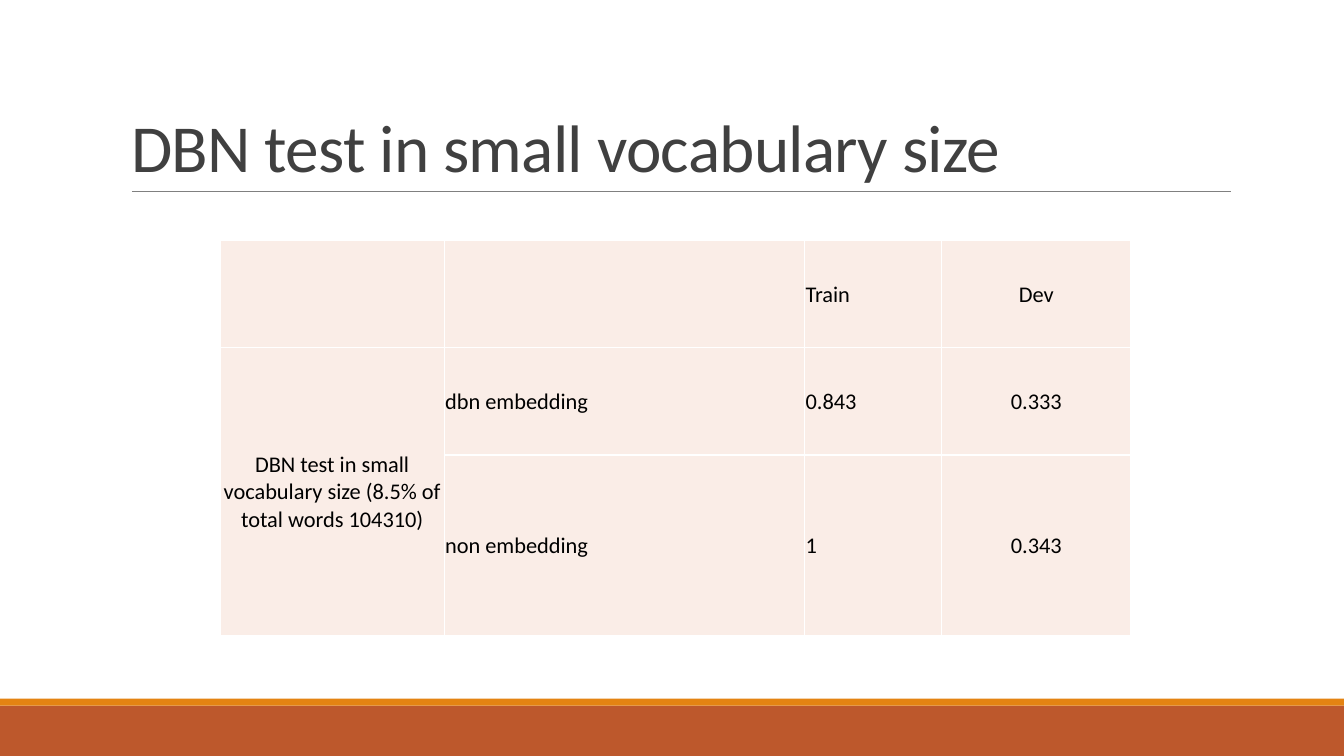
import pptx
import pptx.dml.color
import pptx.enum.shapes
import pptx.enum.text
import pptx.oxml
import pptx.oxml.ns
import pptx.util

Pt = pptx.util.Pt
RGBColor = pptx.dml.color.RGBColor
PP_ALIGN = pptx.enum.text.PP_ALIGN
ANCHOR = pptx.enum.text.MSO_ANCHOR

RUST = RGBColor(0xBD, 0x58, 0x2C)
ORANGE = RGBColor(0xE4, 0x83, 0x12)
GRAY = RGBColor(0x80, 0x80, 0x80)
TITLE_GRAY = RGBColor(0x40, 0x40, 0x40)
CELL_PINK = RGBColor(0xFA, 0xED, 0xE7)
WHITE = RGBColor(0xFF, 0xFF, 0xFF)
BLACK = RGBColor(0, 0, 0)
FONT = "Calibri"


def add_borders(cell, color, width):
    """Draw all four borders; call before setting the cell's fill."""
    tcPr = cell._tc.get_or_add_tcPr()
    for side in ("lnL", "lnR", "lnT", "lnB"):
        tcPr.append(pptx.oxml.parse_xml(
            f'<a:{side} {pptx.oxml.ns.nsdecls("a")} w="{width}"><a:solidFill>'
            f'<a:srgbClr val="{color}"/></a:solidFill></a:{side}>'))


prs = pptx.Presentation()
prs.slide_width, prs.slide_height = Pt(960), Pt(540)
s = prs.slides.add_slide(prs.slide_layouts[5])

# Footer bands
for top, height, color in ((504, 36, RUST), (499, 5, ORANGE)):
    band = s.shapes.add_shape(pptx.enum.shapes.MSO_SHAPE.RECTANGLE,
                              0, Pt(top), Pt(960), Pt(height))
    band.shadow.inherit = False
    band.fill.solid()
    band.fill.fore_color.rgb = color
    band.line.fill.background()

# Title and its rule
rule = s.shapes.add_connector(pptx.enum.shapes.MSO_CONNECTOR.STRAIGHT,
                              Pt(94.3), Pt(136.8), Pt(879), Pt(136.8))
rule.line.color.rgb = GRAY
rule.line.width = Pt(0.5)
rule._element.spPr.append(pptx.oxml.parse_xml(
    f'<a:effectLst {pptx.oxml.ns.nsdecls("a")}/>'))

title = s.shapes.title
title.left, title.top, title.width, title.height = Pt(86.4), Pt(22.5), Pt(792), Pt(114.2)
tf = title.text_frame
tf.text = "DBN test in small vocabulary size"
tf.word_wrap = True
tf.auto_size = pptx.enum.text.MSO_AUTO_SIZE.NONE
tf.vertical_anchor = ANCHOR.BOTTOM
p = tf.paragraphs[0]
p.alignment = PP_ALIGN.LEFT
p.line_spacing = 0.85
r = p.runs[0]
r.font.name = FONT
r.font.size = Pt(48)
r.font.color.rgb = TITLE_GRAY
r._r.get_or_add_rPr().set("spc", "-50")

# Results table
ROWS = (
    ("", "", "Train", "Dev"),
    ("DBN test in small vocabulary size (8.5% of total words 104310)",
     "dbn embedding", "0.843", "0.333"),
    ("", "non embedding", "1", "0.343"),
)
COLUMN_WIDTHS = (160, 257.5, 98, 135)
ROW_HEIGHTS = (76.5, 76.5, 129)
ALIGNMENTS = (PP_ALIGN.CENTER, PP_ALIGN.LEFT, PP_ALIGN.LEFT, PP_ALIGN.CENTER)

table = s.shapes.add_table(len(ROWS), len(COLUMN_WIDTHS), Pt(157.3), Pt(172),
                           Pt(sum(COLUMN_WIDTHS)), Pt(sum(ROW_HEIGHTS))).table
table.first_row = False
table.horz_banding = False
for column, width in zip(table.columns, COLUMN_WIDTHS):
    column.width = Pt(width)
for row, height, texts in zip(table.rows, ROW_HEIGHTS, ROWS):
    row.height = Pt(height)
    for cell, text, alignment in zip(row.cells, texts, ALIGNMENTS):
        add_borders(cell, WHITE, Pt(1))
        cell.fill.solid()
        cell.fill.fore_color.rgb = CELL_PINK
        cell.vertical_anchor = ANCHOR.MIDDLE
        cell.margin_left = cell.margin_right = cell.margin_top = Pt(0.7)
        cell.margin_bottom = 0
        cell.text = text
        p = cell.text_frame.paragraphs[0]
        p.alignment = alignment
        for r in p.runs:
            r.font.name = FONT
            r.font.size = Pt(16)
            r.font.color.rgb = BLACK
table.cell(1, 0).merge(table.cell(2, 0))

prs.save("out.pptx")
